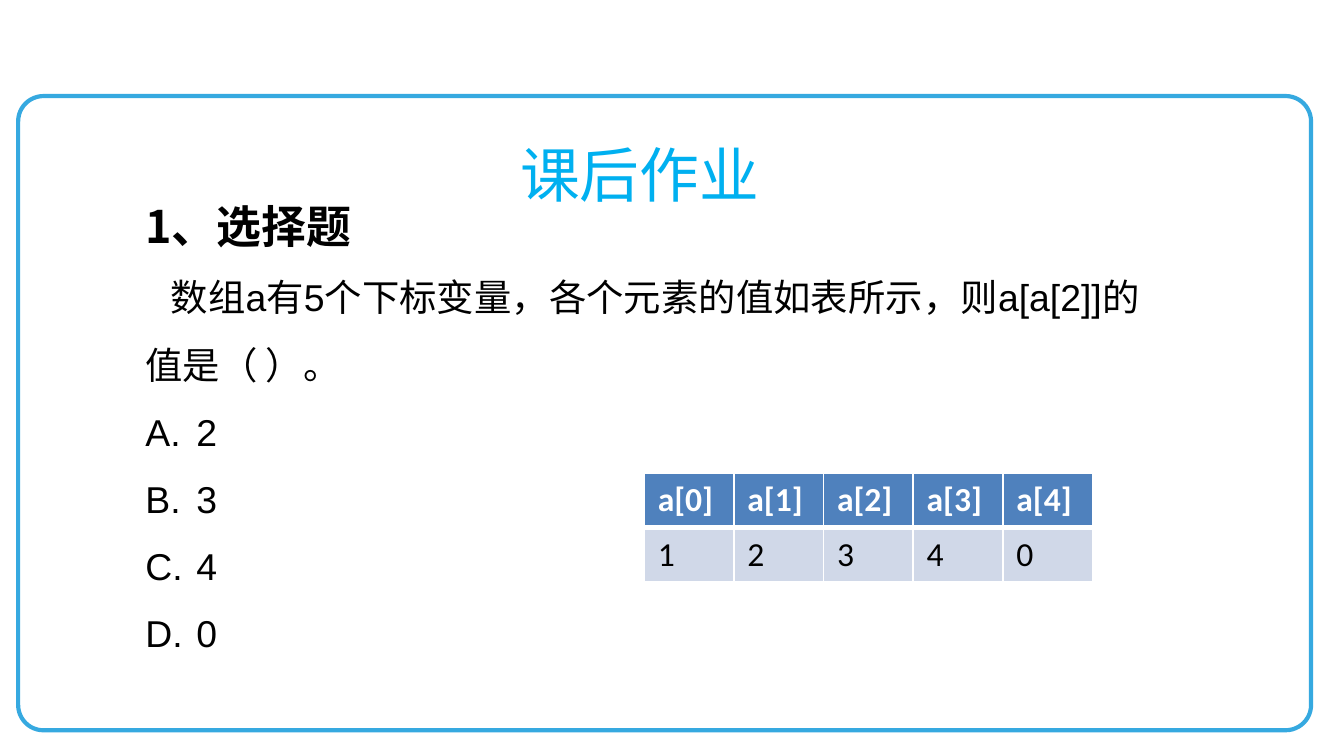
from typing import NamedTuple

from lxml.etree import SubElement
from pptx import Presentation
from pptx.dml.color import RGBColor
from pptx.enum.shapes import MSO_SHAPE
from pptx.enum.text import MSO_ANCHOR, PP_ALIGN
from pptx.oxml.ns import qn
from pptx.util import Inches, Pt

# Widescreen, 16:9
SLIDE_W = Inches(10)
SLIDE_H = SLIDE_W * 9 // 16

FRAME_BLUE = RGBColor(0x36, 0xA9, 0xE0)
TITLE_BLUE = RGBColor(0x00, 0xB0, 0xF0)
HEADER_BLUE = RGBColor(0x4F, 0x81, 0xBD)
VALUE_BLUE = RGBColor(0xD0, 0xD8, 0xE8)
WHITE = RGBColor(0xFF, 0xFF, 0xFF)
BLACK = RGBColor(0x00, 0x00, 0x00)

CJK_FONT = "Noto Sans CJK SC"
TITLE_FORMAT = {"name": CJK_FONT, "size": Pt(32), "bold": False}
HEADING_FORMAT = {"name": CJK_FONT, "size": Pt(24), "bold": True}
BODY_FORMAT = {"name": "Arial", "size": Pt(20), "bold": False}
HEADER_FORMAT = {"name": "Calibri", "size": Pt(18), "bold": True}
VALUE_FORMAT = HEADER_FORMAT | {"bold": False}

QUESTION = "数组a有5个下标变量，各个元素的值如表所示，则a[a[2]]的值是（ ）。"
CHOICES = ["2", "3", "4", "0"]
ARRAY_VALUES = ["1", "2", "3", "4", "0"]


class Box(NamedTuple):
    left: int
    top: int
    width: int
    height: int


def share(left, top, width, height):
    """Box from percentages of the slide's width and height."""
    return Box(int(SLIDE_W * left / 100), int(SLIDE_H * top / 100),
               int(SLIDE_W * width / 100), int(SLIDE_H * height / 100))


def write(paragraph, text, font_format, color):
    run = paragraph.add_run()
    run.text = text
    for attribute, value in font_format.items():
        setattr(run.font, attribute, value)
    run.font.color.rgb = color
    SubElement(run.font._element, qn("a:ea"), typeface=CJK_FONT)


def add_frame(slide, box):
    frame = slide.shapes.add_shape(MSO_SHAPE.ROUNDED_RECTANGLE, *box)
    frame.adjustments[0] = 0.04
    frame.shadow.inherit = False
    frame.fill.background()
    frame.line.color.rgb = FRAME_BLUE
    frame.line.width = Pt(2.25)


def add_title(slide, box):
    title = slide.shapes.add_textbox(*box).text_frame
    title.word_wrap = True
    title.vertical_anchor = MSO_ANCHOR.MIDDLE
    title.paragraphs[0].alignment = PP_ALIGN.CENTER
    write(title.paragraphs[0], "课后作业", TITLE_FORMAT, TITLE_BLUE)


def add_exercise(slide, box):
    exercise = slide.shapes.add_textbox(*box).text_frame
    exercise.word_wrap = True

    # Heading and question
    heading = exercise.paragraphs[0]
    write(heading, "1、选择题", HEADING_FORMAT, BLACK)
    question = exercise.add_paragraph()
    question._p.get_or_add_pPr().set("indent", str(Inches(0.19)))
    write(question, QUESTION, BODY_FORMAT, BLACK)

    # Lettered choices
    hanging = Inches(0.38)
    for choice_text in CHOICES:
        choice = exercise.add_paragraph()
        properties = choice._p.get_or_add_pPr()
        properties.set("marL", str(hanging))
        properties.set("indent", str(-hanging))
        SubElement(properties, qn("a:buFont"), typeface="Arial")
        SubElement(properties, qn("a:buAutoNum"), type="alphaUcPeriod")
        write(choice, choice_text, BODY_FORMAT, BLACK)

    for paragraph in exercise.paragraphs:
        paragraph.line_spacing = 1.5


def add_borders(cell, widths):
    properties = cell._tc.get_or_add_tcPr()
    for side, width in widths.items():
        border = SubElement(properties, qn(f"a:ln{side}"), w=str(Pt(width)))
        fill = SubElement(border, qn("a:solidFill"))
        SubElement(fill, qn("a:srgbClr"), val=str(WHITE))


def add_array_table(slide, box):
    names = [f"a[{index}]" for index in range(len(ARRAY_VALUES))]
    # Each row: texts, font, text colour, fill, top and bottom border
    rows = [
        (names, HEADER_FORMAT, WHITE, HEADER_BLUE, 1, 3),
        (ARRAY_VALUES, VALUE_FORMAT, BLACK, VALUE_BLUE, 3, 1),
    ]
    array = slide.shapes.add_table(len(rows), len(names), *box).table
    array.first_row = array.horz_banding = False
    for r, (texts, font_format, color, fill, top, bottom) in enumerate(rows):
        for c, text in enumerate(texts):
            cell = array.cell(r, c)
            add_borders(cell, {"L": 1, "R": 1, "T": top, "B": bottom})
            cell.fill.solid()
            cell.fill.fore_color.rgb = fill
            write(cell.text_frame.paragraphs[0], text, font_format, color)


def main():
    presentation = Presentation()
    presentation.slide_width, presentation.slide_height = SLIDE_W, SLIDE_H
    slide = presentation.slides.add_slide(presentation.slide_layouts[6])

    add_frame(slide, share(1.35, 12.7, 96.2, 83.9))
    add_title(slide, share(5.1, 14.6, 85, 16.7))
    add_exercise(slide, share(9.83, 21.8, 77.8, 66.5))
    add_array_table(slide, share(47.94, 62.55, 33.35, 14.42))

    presentation.save("out.pptx")


if __name__ == "__main__":
    main()
